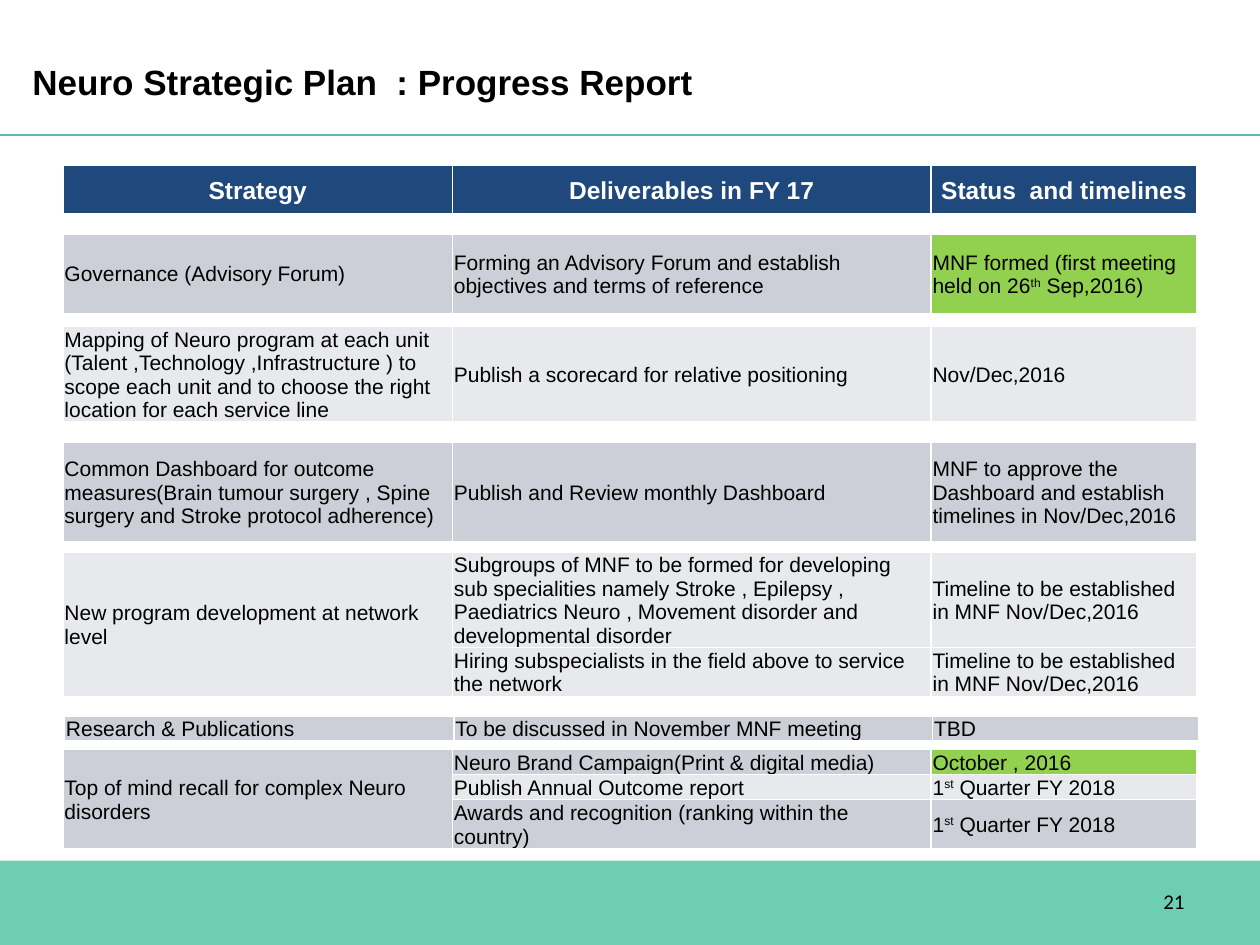
from lxml import etree
from pptx import Presentation
from pptx import util as u
from pptx.dml.color import RGBColor
from pptx.enum import shapes, text
from pptx.oxml.ns import qn

NAVY, GREY, PALE, GREEN = "1F497D", "CCCFD7", "E7E9EC", "92D050"
MINT, TEAL, WHITE, BLACK = "6ECEB2", "5DBAB0", "FFFFFF", "000000"
TITLE = "Neuro Strategic Plan  : Progress Report"
PAGE = "21"
COLS = [7.85, 9.65, 5.36]
LEFT = 1.27

# ^ marks the start and end of superscript; None continues the cell above.
TABLES = [
    {"top": 3.33, "rows": [
        (0.99, NAVY, NAVY, ["Strategy", "Deliverables in FY 17", "Status  and timelines"])]},
    {"top": 4.72, "rows": [
        (1.6, GREY, GREEN, [
            "Governance (Advisory Forum)",
            "Forming an Advisory Forum and establish objectives and terms of reference",
            "MNF formed (first meeting held on 26^th^ Sep,2016)"])]},
    {"top": 6.58, "rows": [
        (1.9, PALE, PALE, [
            "Mapping of Neuro program at each unit (Talent ,Technology ,Infrastructure ) "
            "to scope each unit and to choose the right location for each service line",
            "Publish a scorecard for relative positioning",
            "Nov/Dec,2016"])]},
    {"top": 8.92, "rows": [
        (2.01, GREY, GREY, [
            "Common Dashboard for outcome measures(Brain tumour surgery , "
            "Spine surgery and Stroke protocol adherence)",
            "Publish and Review monthly Dashboard",
            "MNF to approve the Dashboard and establish timelines in Nov/Dec,2016"])]},
    {"top": 11.13, "rows": [
        (1.9, PALE, PALE, [
            "New program development at network level",
            "Subgroups of MNF to be formed for developing sub specialities namely Stroke , "
            "Epilepsy , Paediatrics Neuro , Movement disorder and developmental disorder",
            "Timeline to be established in MNF Nov/Dec,2016"]),
        (0.96, PALE, PALE, [
            None,
            "Hiring subspecialists in the field above to service the network",
            "Timeline to be established in MNF Nov/Dec,2016"])]},
    {"top": 14.43, "left": 1.3, "rows": [
        (0.48, GREY, GREY, [
            "Research & Publications", "To be discussed in November MNF meeting", "TBD"])]},
    {"top": 15.11, "rows": [
        (0.48, GREY, GREEN, [
            "Top of mind recall for complex Neuro disorders",
            "Neuro Brand Campaign(Print & digital media)", "October , 2016"]),
        (0.5, PALE, PALE, [
            None, "Publish Annual Outcome report", "1^st^ Quarter FY 2018"]),
        (0.99, GREY, GREY, [
            None, "Awards and recognition (ranking within the country)",
            "1^st^ Quarter FY 2018"])]},
]


def color(target, value):
    target.rgb = RGBColor.from_string(value)


def fill(target, value):
    target.fill.solid()
    color(target.fill.fore_color, value)


def write(p, content, size, value=BLACK, bold=False, font="Arial"):
    for i, part in enumerate(content.split("^")):
        r = p.add_run()
        r.text = part
        r.font.size, r.font.name, r.font.bold = u.Pt(size), font, bold
        color(r.font.color, value)
        if i % 2:
            r.font._element.set("baseline", "30000")


def add_borders(cell, widths):
    tcPr = cell._tc.get_or_add_tcPr()
    for side, width in zip(("L", "R", "T", "B"), widths):
        ln = etree.SubElement(tcPr, qn(f"a:ln{side}"), w=str(u.Pt(width)))
        solid = etree.SubElement(ln, qn("a:solidFill"))
        etree.SubElement(solid, qn("a:srgbClr"), val=WHITE)


def add_block(s, block, index):
    rows, header = block["rows"], index == 0
    widths = (1, 1, 1.5 if index == 1 else 1, 1.5 if header else 1)
    frame = s.shapes.add_table(
        len(rows), len(COLS), u.Cm(block.get("left", LEFT)), u.Cm(block["top"]),
        u.Cm(sum(COLS)), u.Cm(sum(row[0] for row in rows)))
    table = frame.table
    table.first_row = header
    table.horz_banding = False
    for column, width in zip(table.columns, COLS):
        column.width = u.Cm(width)
    for i, (height, base, status, contents) in enumerate(rows):
        table.rows[i].height = u.Cm(height)
        for j, content in enumerate(contents):
            cell = table.cell(i, j)
            add_borders(cell, widths)
            fill(cell, status if j == 2 else base)
            cell.margin_left = cell.margin_right = cell.margin_top = u.Cm(0.03)
            cell.margin_bottom = 0
            cell.vertical_anchor = text.MSO_ANCHOR.MIDDLE
            p = cell.text_frame.paragraphs[0]
            p.alignment = text.PP_ALIGN.CENTER if header else text.PP_ALIGN.LEFT
            if content:
                write(p, content, 14 if header else 12, WHITE if header else BLACK, header)
    if len(rows) > 1:
        table.cell(0, 0).merge(table.cell(len(rows) - 1, 0))


def main():
    prs = Presentation()
    prs.slide_width, prs.slide_height = u.Cm(25.4), u.Cm(19.05)
    s = prs.slides.add_slide(prs.slide_layouts[5])

    band = s.shapes.add_shape(
        shapes.MSO_SHAPE.RECTANGLE, 0, u.Cm(17.35), prs.slide_width, u.Cm(1.7))
    band.shadow.inherit = False
    fill(band, MINT)
    band.line.fill.background()

    rule = s.shapes.add_connector(
        shapes.MSO_CONNECTOR.STRAIGHT, 0, u.Cm(2.72), prs.slide_width, u.Cm(2.72))
    color(rule.line.color, TEAL)
    rule.line.width = u.Pt(0.75)
    etree.SubElement(rule._element.spPr, qn("a:effectLst"))

    title = s.shapes.title
    title.left, title.top = u.Cm(0.4), u.Cm(0.33)
    title.width, title.height = u.Cm(20.83), u.Cm(2.62)
    tf = title.text_frame
    tf.vertical_anchor = text.MSO_ANCHOR.MIDDLE
    tf.paragraphs[0].alignment = text.PP_ALIGN.LEFT
    write(tf.paragraphs[0], TITLE, 20, bold=True)

    for index, block in enumerate(TABLES):
        add_block(s, block, index)

    number = s.shapes.add_textbox(u.Cm(18.2), u.Cm(17.65), u.Cm(5.93), u.Cm(1.02))
    tf = number.text_frame
    tf.word_wrap = True
    tf.vertical_anchor = text.MSO_ANCHOR.MIDDLE
    tf.paragraphs[0].alignment = text.PP_ALIGN.RIGHT
    write(tf.paragraphs[0], PAGE, 12, font="Calibri")

    prs.save("out.pptx")


if __name__ == "__main__":
    main()
